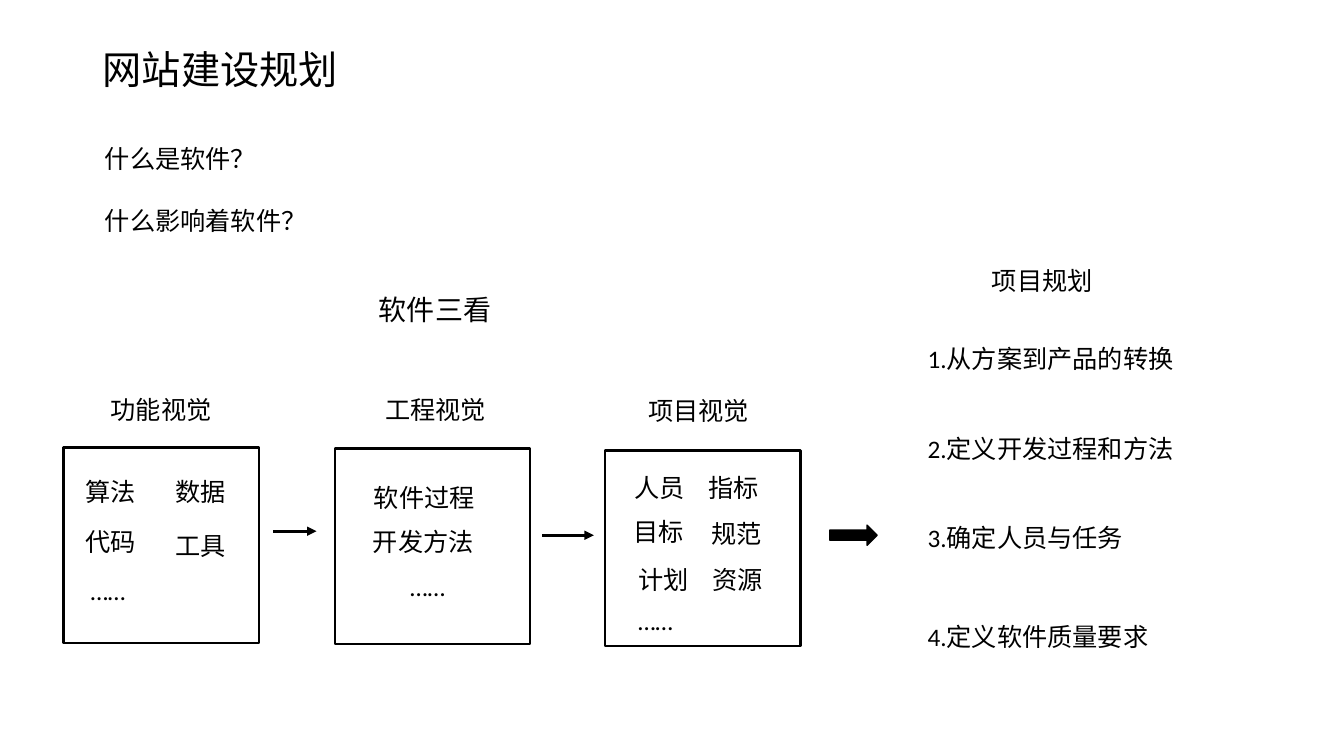
from dataclasses import dataclass

from lxml import etree
from pptx import Presentation, util as u
from pptx.dml import color
from pptx.enum import shapes, text
from pptx.oxml import ns

BLACK = "000000"
FRAME_FORMAT = {
    "word_wrap": True,
    "vertical_anchor": text.MSO_ANCHOR.TOP,
    "auto_size": text.MSO_AUTO_SIZE.SHAPE_TO_FIT_TEXT,
    "margin_left": u.Inches(0.1),
    "margin_right": u.Inches(0.1),
    "margin_top": u.Inches(0.05),
    "margin_bottom": u.Inches(0.05),
}
BOX_SIDE = 1.94
LINE_HEIGHT = 0.4


@dataclass(frozen=True)
class Label:
    words: str
    left: float
    top: float
    width: float = 0.79
    size: float = 18


@dataclass(frozen=True)
class View:
    heading: Label
    left: float
    top: float
    terms: tuple[Label, ...]


@dataclass(frozen=True)
class Flow:
    start: float
    end: float
    level: float


@dataclass(frozen=True)
class Outline:
    left: float
    top: float
    width: float
    height: float
    items: tuple[str, ...]
    gaps: tuple[float, ...]


HEADINGS = (
    Label("软件三看", 3.66, 2.85, 1.35, 20),
    Label("项目规划", 9.74, 2.58, 1.28),
)
VIEWS = (
    View(Label("功能视觉", 1, 3.86, 1.28), 0.63, 4.44, (
        Label("算法", 0.75, 4.68), Label("数据", 1.64, 4.68),
        Label("代码", 0.75, 5.17), Label("工具", 1.64, 5.21),
        Label("……", 0.8, 5.66),
    )),
    View(Label("工程视觉", 3.72, 3.86, 1.28), 3.32, 4.45, (
        Label("软件过程", 3.61, 4.74, 1.51),
        Label("开发方法", 3.6, 5.17, 1.51),
        Label("……", 3.97, 5.62),
    )),
    View(Label("项目视觉", 6.33, 3.87, 1.28), 6, 4.47, (
        Label("人员", 6.19, 4.64), Label("指标", 6.93, 4.64),
        Label("目标", 6.18, 5.07), Label("规范", 6.96, 5.09),
        Label("计划", 6.23, 5.55), Label("资源", 6.97, 5.55),
        Label("……", 6.23, 5.96),
    )),
)
FLOWS = (Flow(2.71, 3.14, 5.27), Flow(5.38, 5.89, 5.31))
QUESTIONS = Outline(0.94, 1.37, 3.04, 1.02,
                    ("什么是软件？", "什么影响着软件？"), (0, 0.32))
PLAN = Outline(9.1, 3.36, 2.91, 3.15,
               ("1.从方案到产品的转换", "2.定义开发过程和方法",
                "3.确定人员与任务", "4.定义软件质量要求"),
               (0, 0.59, 0.58, 0.68))


def paint(target, hex_color: str) -> None:
    target.rgb = color.RGBColor.from_string(hex_color)


def apply(target, values: dict) -> None:
    for name, value in values.items():
        setattr(target, name, value)


def place(holder, left: float, top: float, width: float, height: float) -> None:
    apply(holder, {"left": u.Inches(left), "top": u.Inches(top),
                   "width": u.Inches(width), "height": u.Inches(height)})


def write(paragraph, words: str, size: float, gap: float = 0) -> None:
    apply(paragraph, {"alignment": text.PP_ALIGN.LEFT, "space_before": u.Inches(gap)})
    run = paragraph.add_run()
    run.text = words
    apply(run.font, {"name": "Calibri", "size": u.Pt(size)})
    paint(run.font.color, BLACK)


def draw_label(canvas, label: Label) -> None:
    caption = canvas.add_textbox(u.Inches(label.left), u.Inches(label.top),
                                 u.Inches(label.width), u.Inches(LINE_HEIGHT))
    apply(caption.text_frame, FRAME_FORMAT)
    write(caption.text_frame.paragraphs[0], label.words, label.size)


def fill_outline(body, outline: Outline) -> None:
    place(body, outline.left, outline.top, outline.width, outline.height)
    apply(body.text_frame, FRAME_FORMAT)
    for index, (words, gap) in enumerate(zip(outline.items, outline.gaps)):
        paragraph = (body.text_frame.add_paragraph() if index
                     else body.text_frame.paragraphs[0])
        write(paragraph, words, 18, gap)
        properties = paragraph._p.get_or_add_pPr()
        properties.set("marL", "0")
        properties.set("indent", "0")
        etree.SubElement(properties, ns.qn("a:buNone"))


def draw_view(canvas, view: View) -> None:
    draw_label(canvas, view.heading)
    group = canvas.add_group_shape().shapes
    frame = group.add_shape(shapes.MSO_SHAPE.RECTANGLE, u.Inches(view.left),
                            u.Inches(view.top), u.Inches(BOX_SIDE), u.Inches(BOX_SIDE))
    frame.shadow.inherit = False
    frame.fill.background()
    paint(frame.line.color, BLACK)
    frame.line.width = u.Pt(1.5)
    for term in view.terms:
        draw_label(group, term)


def draw_flow(canvas, flow: Flow) -> None:
    arrow = canvas.add_connector(shapes.MSO_CONNECTOR.STRAIGHT,
                                 u.Inches(flow.start), u.Inches(flow.level),
                                 u.Inches(flow.end), u.Inches(flow.level))
    paint(arrow.line.color, BLACK)
    arrow.line.width = u.Pt(2.25)
    etree.SubElement(arrow.line._get_or_add_ln(), ns.qn("a:tailEnd"), type="triangle")
    etree.SubElement(arrow._element.spPr, ns.qn("a:effectLst"))


def draw_result_arrow(canvas) -> None:
    result = canvas.add_shape(shapes.MSO_SHAPE.RIGHT_ARROW, u.Inches(8.23),
                              u.Inches(5.21), u.Inches(0.47), u.Inches(0.2))
    result.shadow.inherit = False
    result.fill.solid()
    paint(result.fill.fore_color, BLACK)
    paint(result.line.color, BLACK)
    result.line.width = u.Pt(1)


def main() -> None:
    deck = Presentation()
    apply(deck, {"slide_width": u.Inches(13.33), "slide_height": u.Inches(7.5)})
    slide = deck.slides.add_slide(deck.slide_layouts.get_by_name("Two Content"))
    canvas = slide.shapes
    place(canvas.title, 0.92, 0.4, 3.04, 0.57)
    apply(canvas.title.text_frame, FRAME_FORMAT)
    write(canvas.title.text_frame.paragraphs[0], "网站建设规划", 28)
    for index, outline in enumerate((QUESTIONS, PLAN), start=1):
        fill_outline(slide.placeholders[index], outline)
    for heading in HEADINGS:
        draw_label(canvas, heading)
    for view in VIEWS:
        draw_view(canvas, view)
    for flow in FLOWS:
        draw_flow(canvas, flow)
    draw_result_arrow(canvas)
    deck.save("out.pptx")


if __name__ == "__main__":
    main()
